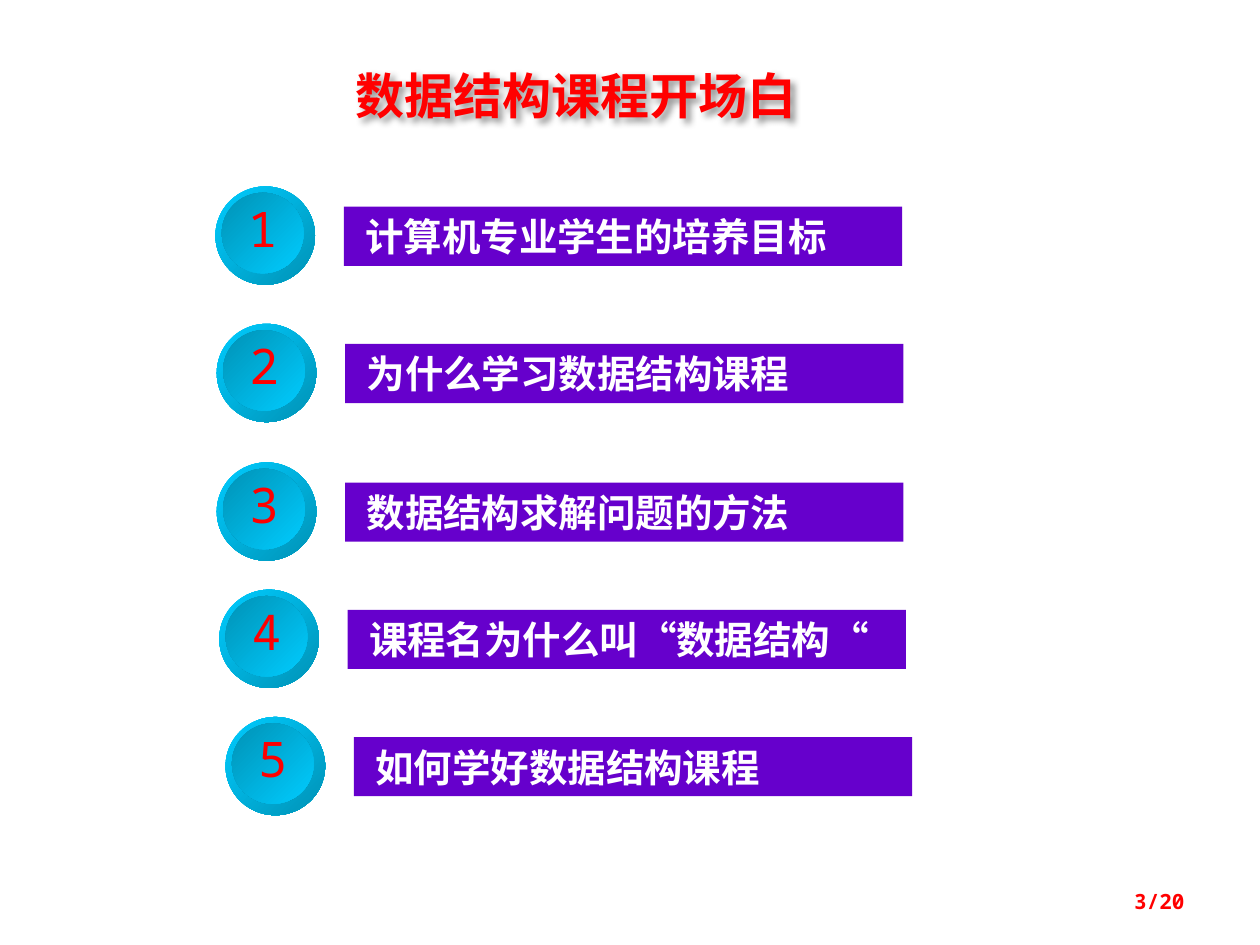
"""Build the opening agenda slide of a data structures course."""
from lxml import etree
from pptx import Presentation
from pptx.dml.color import RGBColor
from pptx.enum.shapes import MSO_SHAPE
from pptx.enum.text import MSO_ANCHOR, PP_ALIGN
from pptx.oxml.ns import qn
from pptx.util import Inches, Pt

RECTANGLE, OVAL = MSO_SHAPE.RECTANGLE, MSO_SHAPE.OVAL
LEFT, CENTER, RIGHT = PP_ALIGN.LEFT, PP_ALIGN.CENTER, PP_ALIGN.RIGHT
MIDDLE = MSO_ANCHOR.MIDDLE
RED, WHITE, PURPLE = "FF0000", "FFFFFF", "6600CC"
LIGHT_BLUE, DARK_BLUE = "00CCFF", "0092B6"
CHINESE, MONO = "Noto Sans CJK SC", "Noto Sans Mono"


def color(hex_string):
    return RGBColor.from_string(hex_string)


def write(shape, text, size, font_name, hex_string, align, bold=False, wrap=True, spacing=1.0):
    frame = shape.text_frame
    frame.text = text
    frame.word_wrap = wrap
    frame.vertical_anchor = MIDDLE
    paragraph = frame.paragraphs[0]
    paragraph.alignment = align
    paragraph.line_spacing = spacing
    font = paragraph.runs[0].font
    font.size, font.bold, font.name = Pt(size), bold, font_name
    font.color.rgb = color(hex_string)
    latin = font._element.find(qn("a:latin"))
    east_asian = etree.Element(qn("a:ea"), typeface=font_name)
    latin.addnext(east_asian)


presentation = Presentation()
presentation.slide_width, presentation.slide_height = Inches(10), Inches(7.5)
slide = presentation.slides.add_slide(presentation.slide_layouts[6])

topics = [
    (2.73, 1.64, "计算机专业学生的培养目标"),
    (2.74, 2.73, "为什么学习数据结构课程"),
    (2.74, 3.83, "数据结构求解问题的方法"),
    (2.76, 4.84, "课程名为什么叫“数据结构“"),
    (2.81, 5.85, "如何学好数据结构课程"),
]
rings = [
    (-1.02, -0.16, 0.79, 0.78, LIGHT_BLUE, DARK_BLUE),
    (-0.97, -0.11, 0.65, 0.64, DARK_BLUE, LIGHT_BLUE),
]

for number, (left, top, topic) in enumerate(topics, start=1):
    bar = slide.shapes.add_shape(RECTANGLE, Inches(left), Inches(top), Inches(4.43), Inches(0.47))
    bar.shadow.inherit = False
    bar.fill.solid()
    bar.fill.fore_color.rgb = color(PURPLE)
    bar.line.fill.background()
    write(bar, topic, 22, CHINESE, WHITE, LEFT, bold=True)
    bar.text_frame.margin_left = Inches(0.17)

    badge = slide.shapes.add_group_shape()
    for offset_x, offset_y, width, height, start_color, end_color in rings:
        disc = badge.shapes.add_shape(
            OVAL, Inches(left + offset_x), Inches(top + offset_y), Inches(width), Inches(height))
        disc.shadow.inherit = False
        disc.line.fill.background()
        disc.fill.gradient()
        disc.fill.gradient_angle = 315
        for stop, hex_string in zip(disc.fill.gradient_stops, (start_color, end_color)):
            stop.color.rgb = color(hex_string)
        disc.fill.gradient_stops[0].position = 0
        disc.fill.gradient_stops[1].position = 1
    write(disc, str(number), 28, MONO, RED, CENTER, wrap=False, spacing=0.8)

page_number = slide.shapes.add_textbox(Inches(7.17), Inches(6.95), Inches(2.33), Inches(0.4))
write(page_number, "3/20", 12, MONO, RED, RIGHT, bold=True)

title = slide.shapes.add_textbox(Inches(2.5), Inches(0.55), Inches(4.14), Inches(0.49))
write(title, "数据结构课程开场白", 28, "Noto Sans CJK JP", RED, CENTER, bold=True, spacing=0.8)
effects = etree.SubElement(title._element.spPr, qn("a:effectLst"))
shadow = etree.SubElement(
    effects, qn("a:outerShdw"), blurRad="50800", dist="38100", dir="2700000", algn="tl")
shadow_color = etree.SubElement(shadow, qn("a:srgbClr"), val="000000")
etree.SubElement(shadow_color, qn("a:alpha"), val="40000")

presentation.save("out.pptx")
